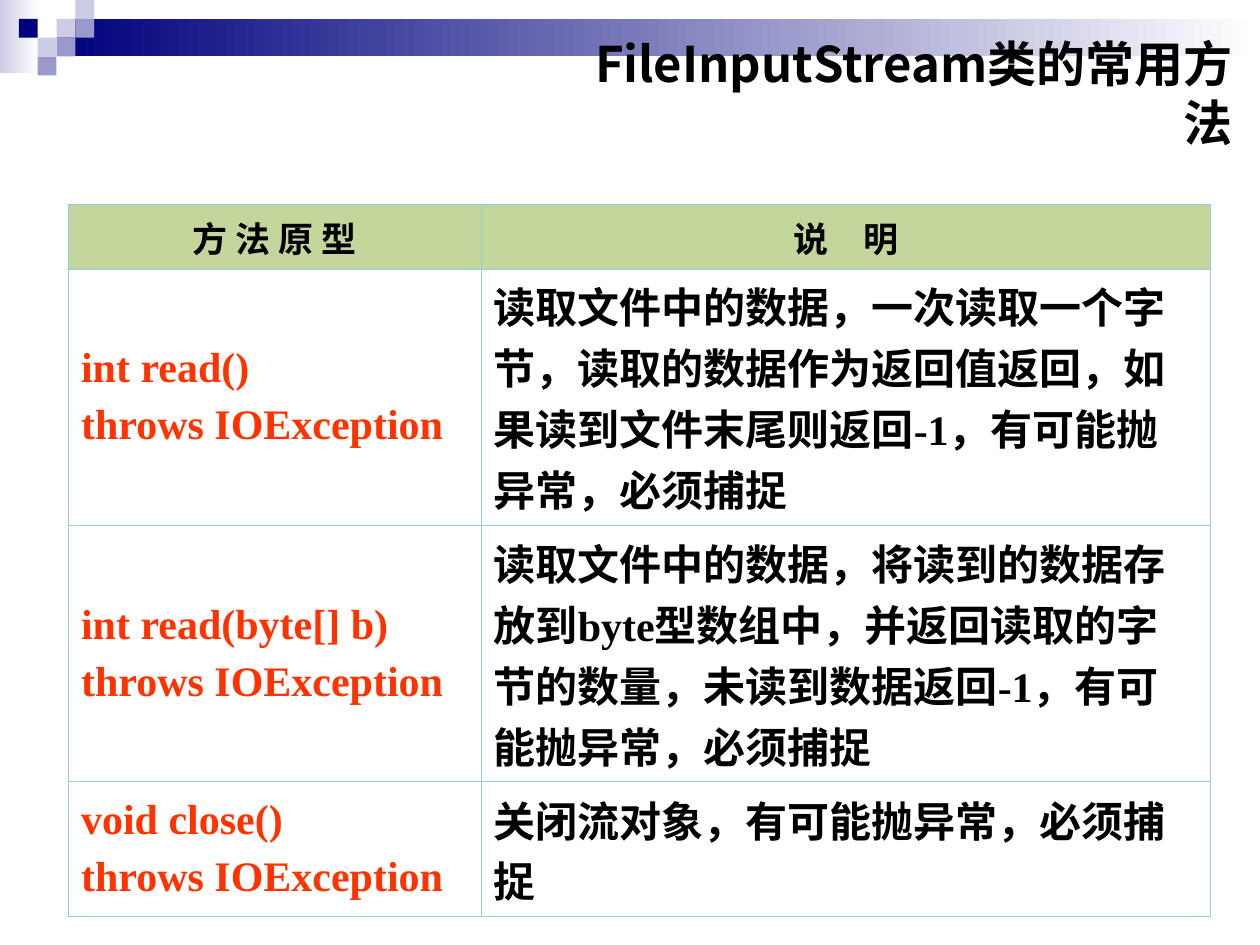
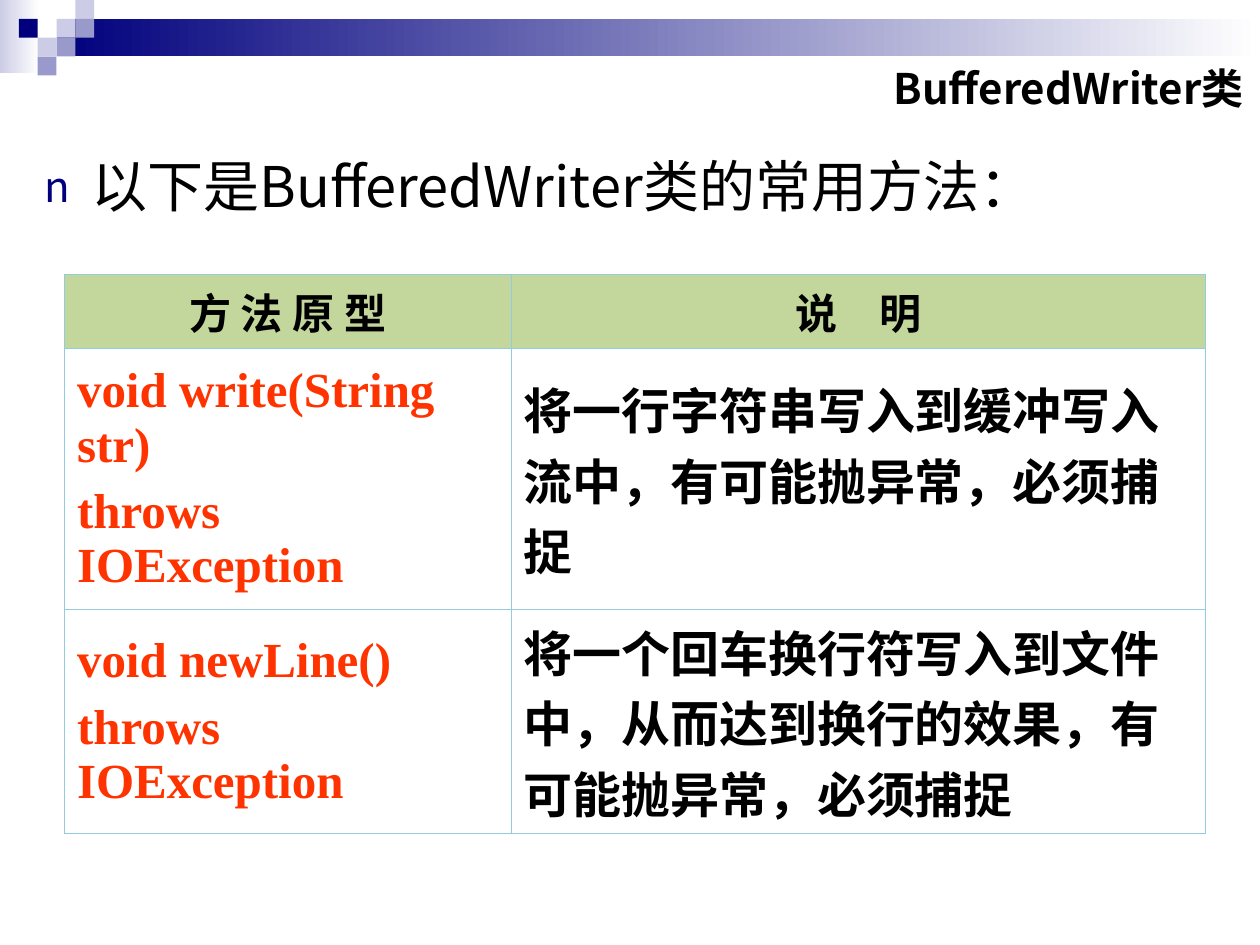
from lxml import etree
from pptx import Presentation
from pptx import util as u
from pptx.dml.color import RGBColor
from pptx.enum import shapes, text
from pptx.oxml.ns import qn

Cm, Pt = u.Cm, u.Pt
NAVY, MID, PALE, WHITE = "00007D", "9999CC", "CCCCE6", "FFFFFF"
BLACK, RED, GREEN, RULE = "000000", "FF3300", "C3D69B", "93CDDD"
SANS, SERIF = "Noto Sans CJK SC", "Times New Roman"
TILE = 0.38
# Tiles of the corner mosaic: column, row, colour
TILES = [(3, 1, PALE), (4, 0, PALE), (4, 1, MID), (2, 2, PALE),
         (1, 1, NAVY), (3, 2, MID), (2, 3, MID)]
HEAD = ("方 法 原 型", "说　明")


def rgb(code):
    return RGBColor.from_string(code)


def node(tag, **attrs):
    return etree.Element(qn(tag), attrs)


class Deck:
    def __init__(self):
        self.prs = Presentation()
        self.prs.slide_width, self.prs.slide_height = Cm(25.4), Cm(19.05)
        self.base = self.prs.slide_layouts.get_by_name("Title Only")
        self.slide = None

    def new(self):
        self.slide = self.prs.slides.add_slide(self.base)

    def rect(self, box, *tones):
        """Add a rectangle with a plain fill, or a fade between two tones."""
        shape = self.slide.shapes.add_shape(
            shapes.MSO_SHAPE.RECTANGLE, *map(Cm, box))
        shape.shadow.inherit = False
        shape.line.fill.background()
        if len(tones) == 1:
            shape.fill.solid()
            shape.fill.fore_color.rgb = rgb(tones[0])
        else:
            shape.fill.gradient()
            shape.fill.gradient_angle = 0
            for stop, tone in zip(shape.fill.gradient_stops, tones):
                stop.color.rgb = rgb(tone)
        return shape

    def band(self):
        """Draw the top band and move it to the layout all slides share."""
        parts = [self.rect((0, 0, 0.79, 1.47), PALE, WHITE),
                 self.rect((3 * TILE, TILE, 24.26, 2 * TILE), NAVY, WHITE)]
        parts += [self.rect((col * TILE, row * TILE, TILE, TILE), tone)
                  for col, row, tone in TILES]
        first = self.base.placeholders[0].element
        for part in parts:
            first.addprevious(part.element)

    def style(self, para, size, face=SANS, tone=BLACK, bold=True,
              align="LEFT", gap=0):
        font = para.font
        font.size, font.name, font.bold = Pt(size), face, bold
        font.color.rgb = rgb(tone)
        font._rPr.append(node("a:ea", typeface=SANS))
        para.alignment = getattr(text.PP_ALIGN, align)
        para.space_before = Pt(gap)

    def title(self, words, box, size):
        shape = self.slide.shapes.title
        shape.left, shape.top, shape.width, shape.height = map(Cm, box)
        frame = shape.text_frame
        frame.text = words
        frame.word_wrap = True
        frame.vertical_anchor = text.MSO_ANCHOR.MIDDLE
        # Shrink-on-overflow tightens the lines of a title that wraps
        frame.auto_size = text.MSO_AUTO_SIZE.NONE
        self.style(frame.paragraphs[0], size, align="RIGHT")

    def bullet(self, words, box, size):
        frame = self.slide.shapes.add_textbox(*map(Cm, box)).text_frame
        frame.word_wrap = True
        frame.text = words
        para = frame.paragraphs[0]
        self.style(para, size, bold=False, gap=8)
        props = para._p.pPr
        props.set("marL", str(Cm(0.95)))
        props.set("indent", str(-Cm(0.95)))
        color = node("a:buClr")
        color.append(node("a:srgbClr", val=NAVY))
        for mark in (color, node("a:buSzPct", val="75000"),
                     node("a:buFont", typeface=SANS),
                     node("a:buChar", char="n")):
            props.find(qn("a:defRPr")).addprevious(mark)

    def edges(self, cell, outer):
        """Rule the four sides of a cell, heavier on the table's outside."""
        props = cell._tc.get_or_add_tcPr()
        for spot, (side, out) in enumerate(zip("LRTB", outer)):
            line = node(f"a:ln{side}", w=str(Pt(0.75 if out else 0.45)))
            fill = etree.SubElement(line, qn("a:solidFill"))
            fill.append(node("a:srgbClr", val=RULE))
            props.insert(spot, line)

    def table(self, spot, cols, highs, rows, head, body, gaps):
        rows = [HEAD] + rows
        box = (*spot, sum(cols), sum(highs))
        grid = self.slide.shapes.add_table(
            len(rows), len(cols), *map(Cm, box)).table
        grid.first_row = grid.horz_banding = False
        for col, width in zip(grid.columns, cols):
            col.width = Cm(width)
        for row, high in zip(grid.rows, highs):
            row.height = Cm(high)
        for r, row in enumerate(rows):
            for c, words in enumerate(row):
                cell = grid.cell(r, c)
                cell.text = words
                cell.vertical_anchor = text.MSO_ANCHOR.MIDDLE
                cell.fill.solid()
                cell.fill.fore_color.rgb = rgb(WHITE if r else GREEN)
                self.edges(cell, (c == 0, c == len(cols) - 1,
                                  r == 0, r == len(rows) - 1))
                for para in cell.text_frame.paragraphs:
                    if r:
                        self.style(para, body, SERIF, BLACK if c else RED,
                                   gap=gaps[1])
                    else:
                        self.style(para, head, align="CENTER", gap=gaps[0])


def main():
    deck = Deck()

    # FileInputStream methods
    deck.new()
    deck.band()
    deck.title("FileInputStream类的常用方法", (10.87, 1.02, 14.22, 1.7), 28)
    deck.table((1.38, 4.13), (8.32, 14.7), (1.29, 5.17, 5.17, 2.72), [
        ("int read()\nthrows IOException",
         "读取文件中的数据，一次读取一个字节，读取的数据作为返回值返回，"
         "如果读到文件末尾则返回-1，有可能抛异常，必须捕捉"),
        ("int read(byte[] b)\nthrows IOException",
         "读取文件中的数据，将读到的数据存放到byte型数组中，"
         "并返回读取的字节的数量，未读到数据返回-1，有可能抛异常，必须捕捉"),
        ("void close()\nthrows IOException",
         "关闭流对象，有可能抛异常，必须捕捉"),
    ], head=20, body=24, gaps=(5, 6))

    # BufferedWriter methods
    deck.new()
    deck.title("BufferedWriter类", (12.29, 0.91, 13.03, 1.7), 24)
    deck.bullet("以下是BufferedWriter类的常用方法：", (0.64, 2.92, 23.47, 3.2), 32)
    deck.table((1.3, 5.54), (9, 14), (1.48, 5.26, 4.53), [
        ("void write(String str)\nthrows IOException",
         "将一行字符串写入到缓冲写入流中，有可能抛异常，必须捕捉"),
        ("void newLine()\nthrows IOException",
         "将一个回车换行符写入到文件中，从而达到换行的效果，"
         "有可能抛异常，必须捕捉"),
    ], head=24, body=28, gaps=(6, 7))

    deck.prs.save("out.pptx")


if __name__ == "__main__":
    main()
